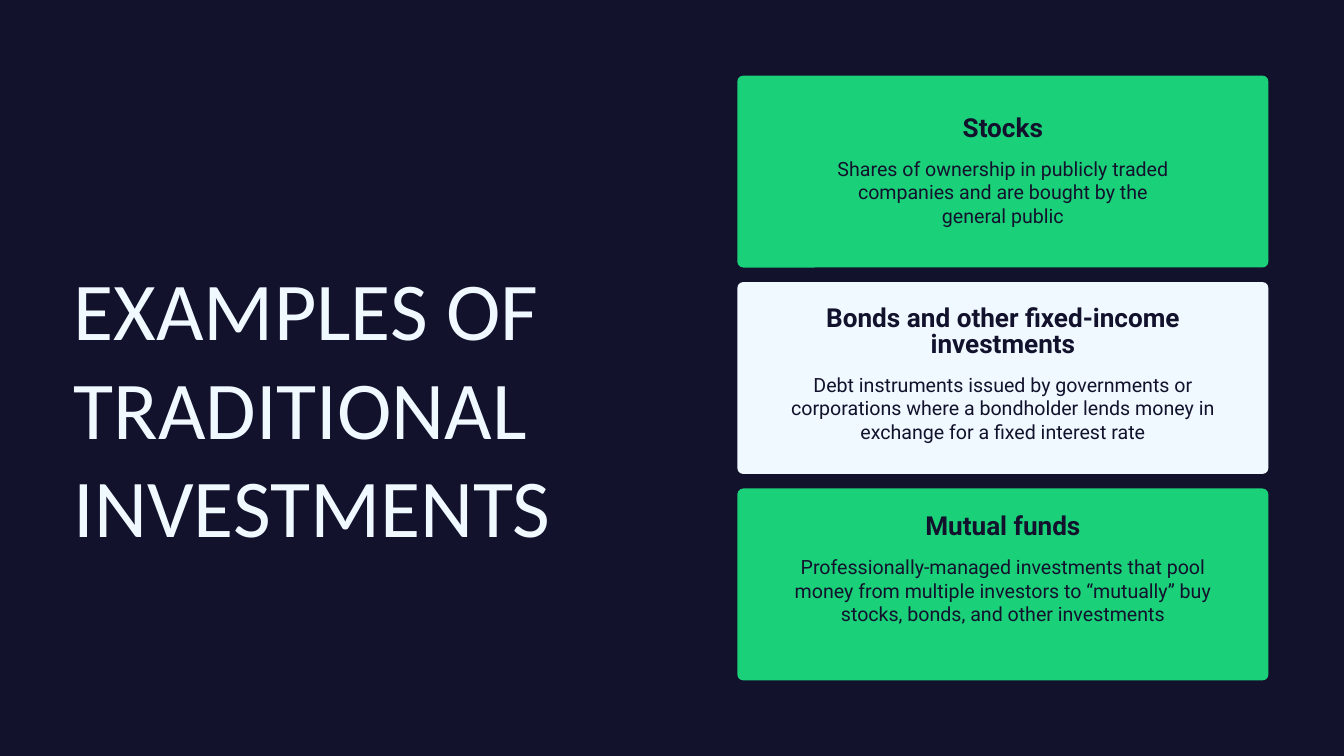
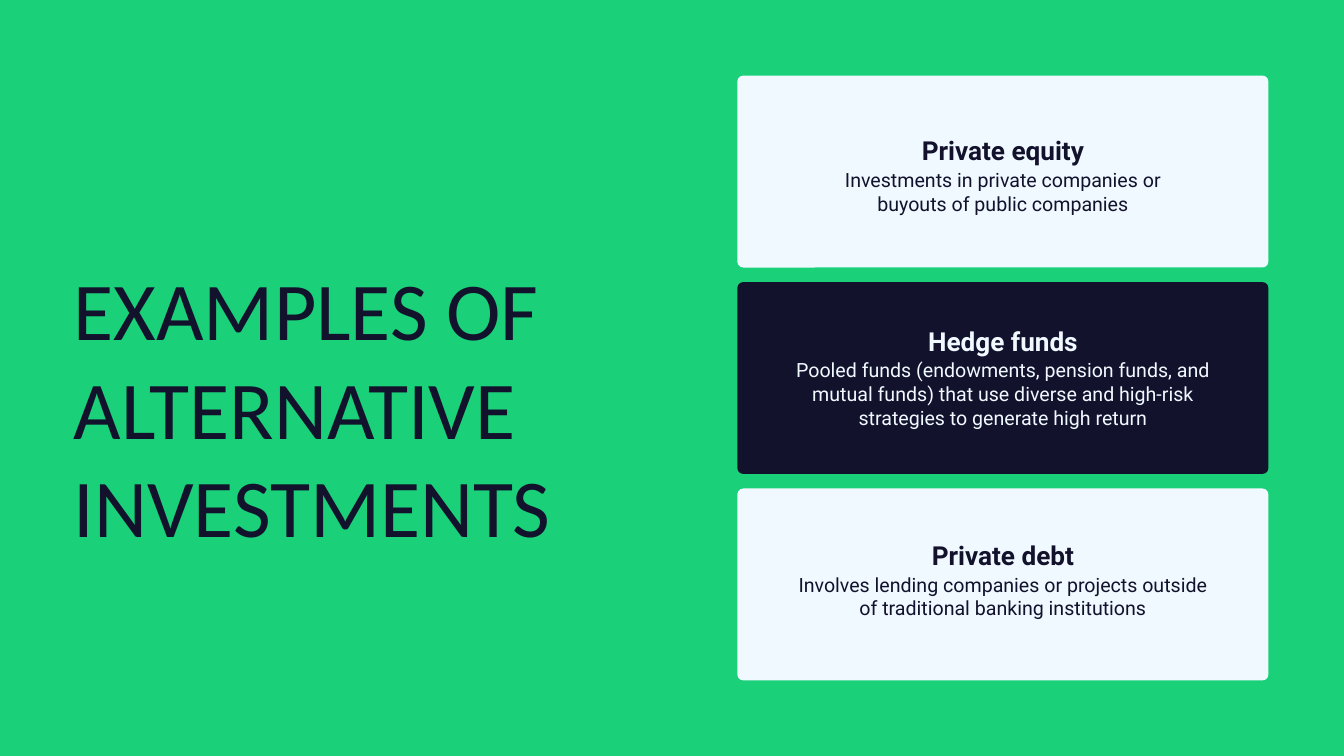
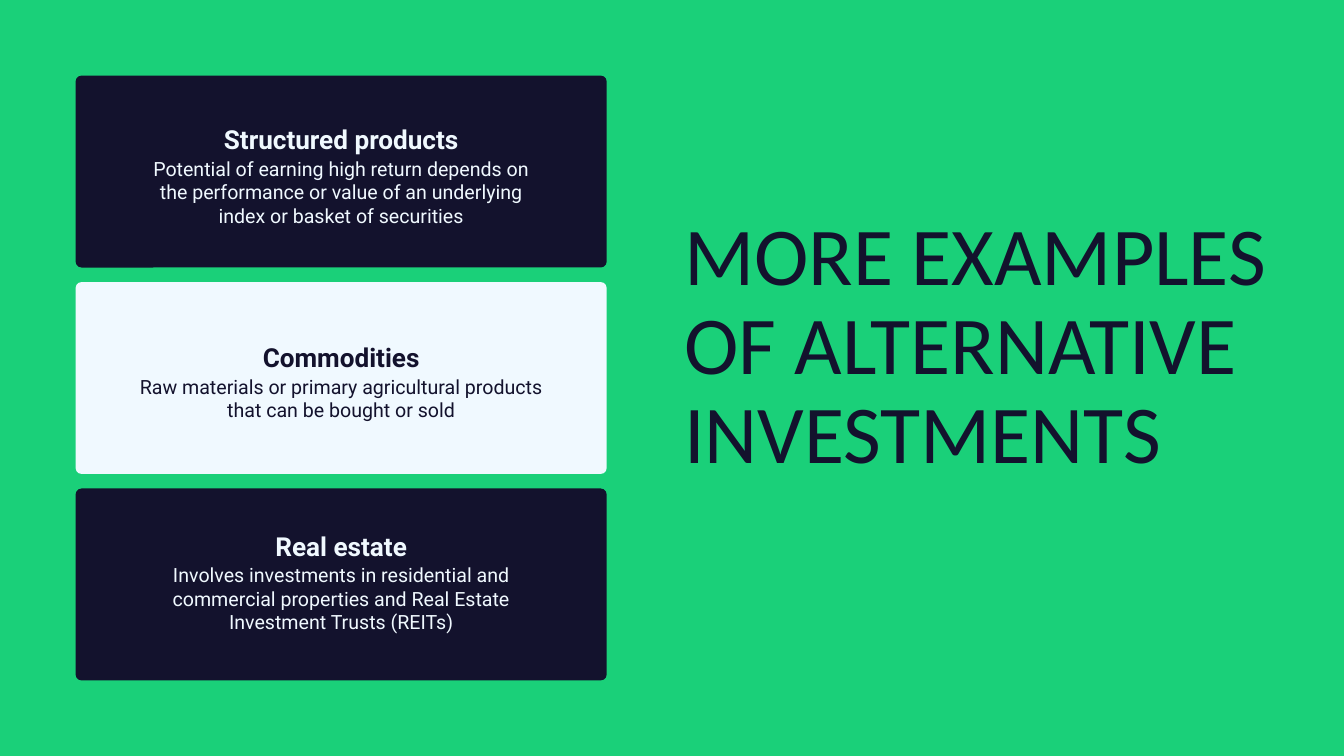
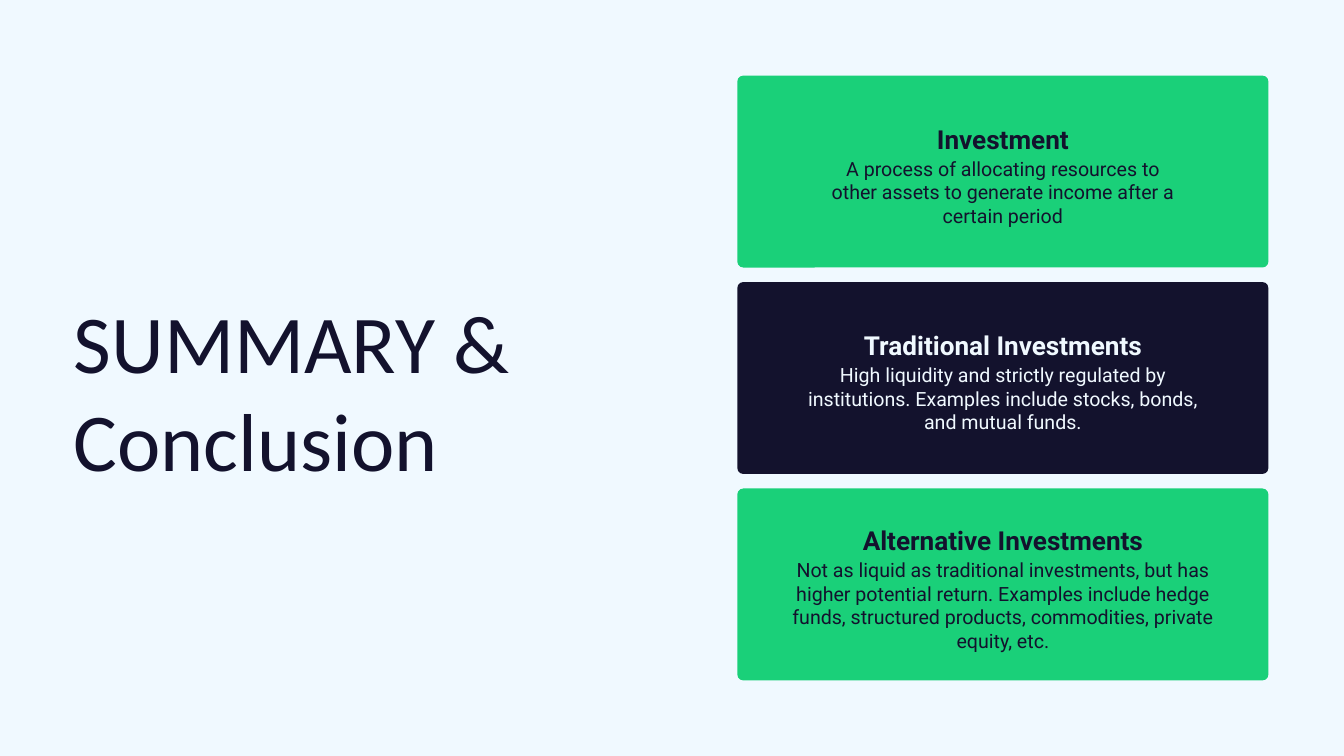
from dataclasses import dataclass

from pptx import Presentation
from pptx.dml.color import RGBColor
from pptx.enum.shapes import MSO_SHAPE
from pptx.enum.text import MSO_AUTO_SIZE, PP_ALIGN
from pptx.util import Pt


@dataclass(frozen=True)
class Theme:
    navy: str = "13122D"
    green: str = "1AD079"
    ice: str = "F0F9FF"
    title_font: str = "Calibri"
    card_font: str = "Roboto"
    title_size: int = 88
    heading_size: int = 28
    body_size: int = 21


THEME = Theme()
NAVY, GREEN, ICE = THEME.navy, THEME.green, THEME.ice

NARROW, MEDIUM, WIDE = 370, 412, 456

PAGES = [
    {
        "background": NAVY, "title_color": ICE, "card_fills": (GREEN, ICE, GREEN),
        "title": ["EXAMPLES OF TRADITIONAL INVESTMENTS"],
        "title_at": (79, 277.2, 268), "title_spacing": None,
        "cards_left": 790, "heading_spacing": 0.8,
        "cards": [
            ("Stocks",
             "Shares of ownership in publicly traded companies and are bought by the general public",
             44.3, NARROW, 1, 3),
            ("Bonds and other fixed-income investments",
             "Debt instruments issued by governments or corporations where a bondholder lends "
             "money in exchange for a fixed interest rate",
             27.6, WIDE, 2, 3),
            ("Mutual funds",
             "Professionally-managed investments that pool money from multiple investors to "
             "“mutually” buy stocks, bonds, and other investments",
             28.8, WIDE, 1, 4),
        ],
    },
    {
        "background": GREEN, "title_color": NAVY, "card_fills": (ICE, NAVY, ICE),
        "title": ["EXAMPLES OF ALTERNATIVE INVESTMENTS"],
        "title_at": (79, 277.2, 268), "title_spacing": None,
        "cards_left": 790, "heading_spacing": 1.2,
        "cards": [
            ("Private equity",
             "Investments in private companies or buyouts of public companies",
             56.5, NARROW, 1, 2),
            ("Hedge funds",
             "Pooled funds (endowments, pension funds, and mutual funds) that use diverse and "
             "high-risk strategies to generate high return",
             39.2, WIDE, 1, 3),
            ("Private debt",
             "Involves lending companies or projects outside of traditional banking institutions",
             47.6, WIDE, 1, 2),
        ],
    },
    {
        "background": GREEN, "title_color": NAVY, "card_fills": (NAVY, ICE, NAVY),
        "title": ["MORE EXAMPLES OF ALTERNATIVE INVESTMENTS"],
        "title_at": (733, 230.4, 384), "title_spacing": 0.9,
        "cards_left": 81, "heading_spacing": 1.2,
        "cards": [
            ("Structured products",
             "Potential of earning high return depends on the performance or value of an "
             "underlying index or basket of securities",
             44.3, MEDIUM, 1, 3),
            ("Commodities",
             "Raw materials or primary agricultural products that can be bought or sold",
             56.4, WIDE, 1, 2),
            ("Real estate",
             "Involves investments in residential and commercial properties and Real Estate "
             "Investment Trusts (REITs)",
             37.6, WIDE, 1, 3),
        ],
    },
    {
        "background": ICE, "title_color": NAVY, "card_fills": (GREEN, NAVY, GREEN),
        "title": ["SUMMARY &", "Conclusion"],
        "title_at": (79, 311.8, 180), "title_spacing": None,
        "cards_left": 790, "heading_spacing": 1.2,
        "cards": [
            ("Investment",
             "A process of allocating resources to other assets to generate income after a "
             "certain period",
             44.3, NARROW, 1, 3),
            ("Traditional Investments",
             "High liquidity and strictly regulated by institutions. Examples include stocks, "
             "bonds, and mutual funds.",
             44.1, WIDE, 1, 3),
            ("Alternative Investments",
             "Not as liquid as traditional investments, but has higher potential return. "
             "Examples include hedge funds, structured products, commodities, private equity, etc.",
             31.8, WIDE, 1, 4),
        ],
    },
]

PAGE_WIDTH, PAGE_HEIGHT = 1440, 810
TITLE_WIDTH, HEADING_WIDTH = 626, 402
CARD_TOP, CARD_WIDTH, CARD_HEIGHT, CARD_GAP = 81, 569, 205.6, 15.6
CARD_RADIUS = 6.3
HEADING_LINE, BODY_LINE, HEADING_TO_BODY = 27, 25.4, 42.6


def add_text(page, frame, lines, font, size, color, bold=False, align=PP_ALIGN.LEFT, spacing=None):
    box = page.shapes.add_textbox(*map(Pt, frame))
    text = box.text_frame
    text.word_wrap = True
    text.auto_size = MSO_AUTO_SIZE.SHAPE_TO_FIT_TEXT
    text.margin_left = text.margin_top = text.margin_right = text.margin_bottom = 0
    for index, line in enumerate(lines):
        para = text.add_paragraph() if index else text.paragraphs[0]
        para.alignment = align
        para.line_spacing = spacing
        span = para.add_run()
        span.text = line
        span.font.name = font
        span.font.size = Pt(size)
        span.font.bold = bold
        span.font.color.rgb = RGBColor.from_string(color)


def add_card(page, left, top, fill):
    card = page.shapes.add_shape(
        MSO_SHAPE.ROUNDED_RECTANGLE, Pt(left), Pt(top), Pt(CARD_WIDTH), Pt(CARD_HEIGHT))
    card.adjustments[0] = CARD_RADIUS / CARD_HEIGHT
    card.shadow.inherit = False
    card.fill.solid()
    card.fill.fore_color.rgb = RGBColor.from_string(fill)
    card.line.fill.background()


def add_card_text(page, center, card_top, card, color, heading_spacing):
    heading, body, offset, body_width, heading_lines, body_lines = card
    heading_top = card_top + offset
    body_top = heading_top + HEADING_TO_BODY + HEADING_LINE * (heading_lines - 1)
    add_text(page,
             (center - HEADING_WIDTH / 2, heading_top, HEADING_WIDTH, HEADING_LINE * heading_lines),
             [heading], THEME.card_font, THEME.heading_size, color,
             bold=True, align=PP_ALIGN.CENTER, spacing=heading_spacing)
    add_text(page, (center - body_width / 2, body_top, body_width, BODY_LINE * body_lines),
             [body], THEME.card_font, THEME.body_size, color, align=PP_ALIGN.CENTER)


def add_page(deck, content):
    page = deck.slides.add_slide(deck.slide_layouts[6])
    page.background.fill.solid()
    page.background.fill.fore_color.rgb = RGBColor.from_string(content["background"])

    left, top, height = content["title_at"]
    add_text(page, (left, top, TITLE_WIDTH, height), content["title"], THEME.title_font,
             THEME.title_size, content["title_color"], spacing=content["title_spacing"])

    cards_left = content["cards_left"]
    for row, (card, fill) in enumerate(zip(content["cards"], content["card_fills"])):
        card_top = CARD_TOP + row * (CARD_HEIGHT + CARD_GAP)
        add_card(page, cards_left, card_top, fill)
        add_card_text(page, cards_left + CARD_WIDTH / 2, card_top, card,
                      ICE if fill == NAVY else NAVY, content["heading_spacing"])


def main():
    deck = Presentation()
    deck.slide_width, deck.slide_height = Pt(PAGE_WIDTH), Pt(PAGE_HEIGHT)
    for content in PAGES:
        add_page(deck, content)
    deck.save("out.pptx")


if __name__ == "__main__":
    main()
